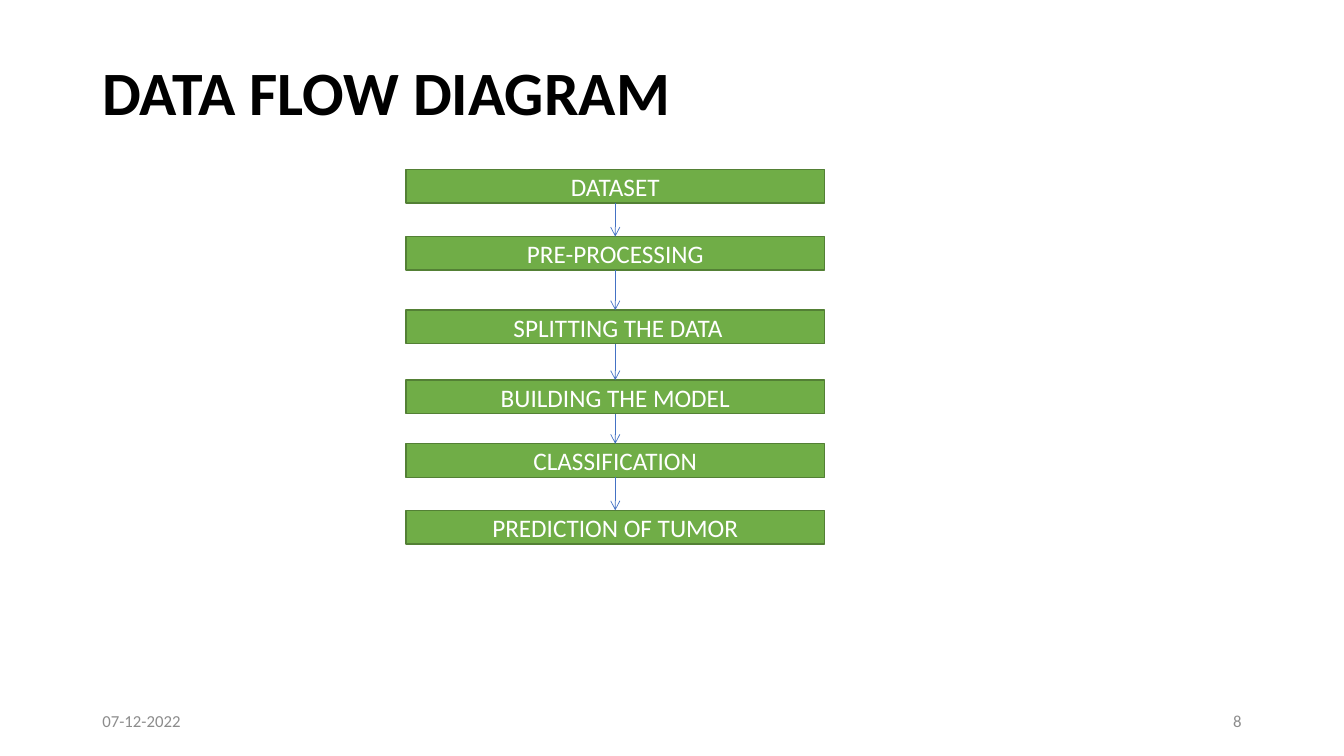
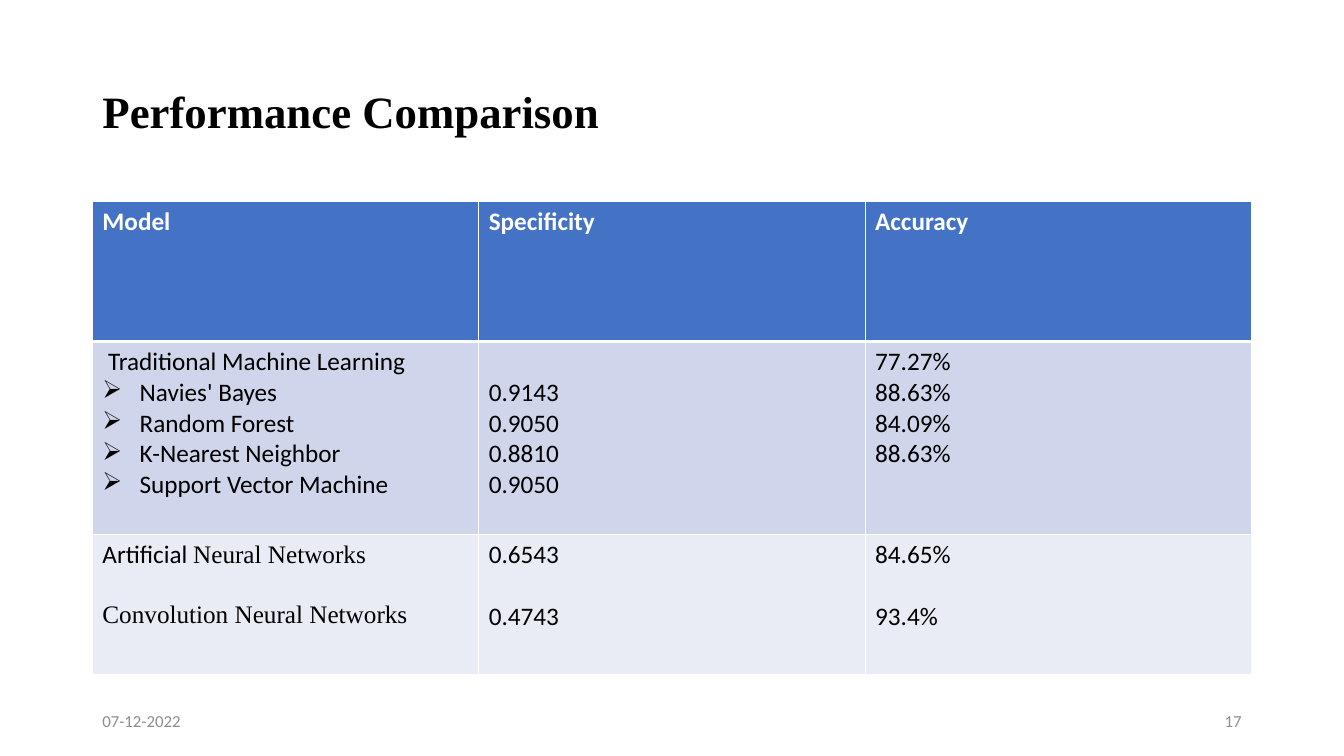
from dataclasses import dataclass

from lxml.etree import SubElement
from pptx import Presentation
from pptx.dml.color import RGBColor
from pptx.enum.shapes import MSO_CONNECTOR, MSO_SHAPE
from pptx.enum.text import MSO_ANCHOR, MSO_AUTO_SIZE, PP_ALIGN
from pptx.oxml import parse_xml
from pptx.oxml.ns import nsdecls, qn
from pptx.util import Pt

COLORS = {
    "text": "000000",
    "white": "FFFFFF",
    "footer": "8C8C8C",
    "step": "70AD47",
    "step_line": "538035",
    "blue": "4472C4",
    "band_dark": "CFD5EA",
    "band_light": "E9EBF5",
}
SANS, SERIF = "Calibri", "Times New Roman"
MARGIN, CONTENT_WIDTH = 66, 828
LINE_HEIGHT = 22
BULLET_INDENT = 22.5


@dataclass
class Cell:
    """Lines of a table cell; a line is a string or a list of (text, font) runs."""
    lines: list
    bulleted_from: int = 99
    gap: float = 0
    lead: float = 0


def color(name):
    return RGBColor.from_string(COLORS[name])


def apply(target, values):
    for name, value in values.items():
        setattr(target, name, value)


class Deck:
    def __init__(self):
        self.presentation = Presentation()
        apply(self.presentation, {"slide_width": Pt(960), "slide_height": Pt(540)})
        self.slide = None

    def add_text(self, paragraph, text, size=18, font=SANS, fill="text", bold=False):
        run = paragraph.add_run()
        run.text = text
        apply(run.font, {"size": Pt(size), "name": font, "bold": bold})
        run.font.color.rgb = color(fill)

    def start_slide(self, title, number, height, size, font=SANS):
        self.slide = self.presentation.slides.add_slide(
            self.presentation.slide_layouts.get_by_name("Title Only"))
        shape = self.slide.shapes.title
        apply(shape, {"left": Pt(MARGIN), "top": Pt(29),
                      "width": Pt(CONTENT_WIDTH), "height": Pt(height)})
        apply(shape.text_frame, {"word_wrap": True, "auto_size": MSO_AUTO_SIZE.NONE,
                                 "vertical_anchor": MSO_ANCHOR.MIDDLE})
        paragraph = shape.text_frame.paragraphs[0]
        apply(paragraph, {"alignment": PP_ALIGN.LEFT, "line_spacing": 0.9})
        self.add_text(paragraph, title, size, font, bold=True)
        self.footer("07-12-2022", MARGIN, PP_ALIGN.LEFT)
        self.footer(number, MARGIN + CONTENT_WIDTH - 216, PP_ALIGN.RIGHT)

    def footer(self, text, left, alignment):
        box = self.slide.shapes.add_textbox(Pt(left), Pt(500.5), Pt(216), Pt(29))
        apply(box.text_frame, {"word_wrap": True, "vertical_anchor": MSO_ANCHOR.MIDDLE})
        paragraph = box.text_frame.paragraphs[0]
        paragraph.alignment = alignment
        self.add_text(paragraph, text, 12, fill="footer")

    def step(self, text, top):
        shape = self.slide.shapes.add_shape(
            MSO_SHAPE.RECTANGLE, Pt(290), Pt(top), Pt(299), Pt(24))
        shape.shadow.inherit = False
        shape.fill.solid()
        shape.fill.fore_color.rgb = color("step")
        shape.line.color.rgb = color("step_line")
        shape.line.width = Pt(1)
        shape.text_frame.vertical_anchor = MSO_ANCHOR.MIDDLE
        paragraph = shape.text_frame.paragraphs[0]
        paragraph.alignment = PP_ALIGN.CENTER
        self.add_text(paragraph, text, fill="white")
        return shape

    def arrow(self, upper, lower):
        connector = self.slide.shapes.add_connector(MSO_CONNECTOR.STRAIGHT, 0, 0, 0, 0)
        connector.begin_connect(upper, 2)
        connector.end_connect(lower, 0)
        connector.line.color.rgb = color("blue")
        connector.line.width = Pt(0.5)
        properties = connector._element.spPr
        SubElement(properties.find(qn("a:ln")), qn("a:tailEnd"), type="arrow")
        SubElement(properties, qn("a:effectLst"))

    def table(self, rows, top, heights, fills):
        columns = len(rows[0])
        table = self.slide.shapes.add_table(
            len(rows), columns, Pt(MARGIN), Pt(top),
            Pt(CONTENT_WIDTH), Pt(sum(heights))).table
        table.horz_banding = False
        for column in table.columns:
            column.width = Pt(CONTENT_WIDTH / columns)
        for index, (row, height, fill) in enumerate(zip(rows, heights, fills)):
            table.rows[index].height = Pt(height)
            for column, content in enumerate(row):
                cell = table.cell(index, column)
                cell.fill.solid()
                cell.fill.fore_color.rgb = color(fill)
                self.borders(cell, top=3 if index == 1 else 1,
                             bottom=3 if index == 0 else 1)
                self.fill_cell(cell, content, is_header=index == 0)

    def fill_cell(self, cell, content, is_header):
        cell.margin_top = Pt(3.6 + content.lead)
        frame = cell.text_frame
        for index, line in enumerate(content.lines):
            paragraph = frame.add_paragraph() if index else frame.paragraphs[0]
            if index and content.gap:
                paragraph.space_before = Pt(content.gap)
            if index >= content.bulleted_from:
                self.bullet(paragraph)
            runs = [(line, SANS)] if isinstance(line, str) else line
            for text, font in runs:
                self.add_text(paragraph, text, font=font, bold=is_header,
                              fill="white" if is_header else "text")

    def bullet(self, paragraph):
        properties = paragraph._p.get_or_add_pPr()
        properties.set("marL", str(Pt(BULLET_INDENT)))
        properties.set("indent", str(-Pt(BULLET_INDENT)))
        SubElement(properties, qn("a:buChar"), char="➢")

    def borders(self, cell, top, bottom):
        properties = cell._tc.get_or_add_tcPr()
        widths = {"lnL": 1, "lnR": 1, "lnT": top, "lnB": bottom}
        for position, (side, width) in enumerate(widths.items()):
            properties.insert(position, parse_xml(
                f'<a:{side} {nsdecls("a")} w="{Pt(width)}"><a:solidFill>'
                f'<a:srgbClr val="{COLORS["white"]}"/></a:solidFill></a:{side}>'))


def build_data_flow(deck):
    deck.start_slide("DATA FLOW DIAGRAM", "8", height=78, size=44)
    steps = [
        ("DATASET", 121),
        ("PRE-PROCESSING", 169),
        (" SPLITTING THE DATA", 221.5),
        ("BUILDING THE MODEL", 271.5),
        ("CLASSIFICATION", 317),
        ("PREDICTION OF TUMOR", 364.5),
    ]
    shapes = [deck.step(text, top) for text, top in steps]
    for upper, lower in zip(shapes, shapes[1:]):
        deck.arrow(upper, lower)


def build_comparison(deck):
    deck.start_slide("Performance Comparison", "17", height=104.5, size=32, font=SERIF)
    header = [Cell([name]) for name in ("Model", "Specificity", "Accuracy")]
    traditional = [
        Cell([" Traditional Machine Learning", " Navies' Bayes", " Random Forest",
              " K-Nearest Neighbor", " Support Vector Machine"], bulleted_from=1),
        Cell(["0.9143", "0.9050", "0.8810", "0.9050"], lead=LINE_HEIGHT),
        Cell(["77.27%", "88.63%", "84.09%", "88.63%"]),
    ]
    networks = [
        Cell([[("Artificial ", SANS), ("Neural Networks", SERIF)],
              [("Convolution Neural Networks", SERIF)]], gap=LINE_HEIGHT),
        Cell(["0.6543", "0.4743"], gap=LINE_HEIGHT),
        Cell(["84.65%", "93.4%"], gap=LINE_HEIGHT),
    ]
    deck.table([header, traditional, networks], top=144, heights=[100, 138, 100],
               fills=["blue", "band_dark", "band_light"])


def main():
    deck = Deck()
    build_data_flow(deck)
    build_comparison(deck)
    deck.presentation.save("out.pptx")


if __name__ == "__main__":
    main()
